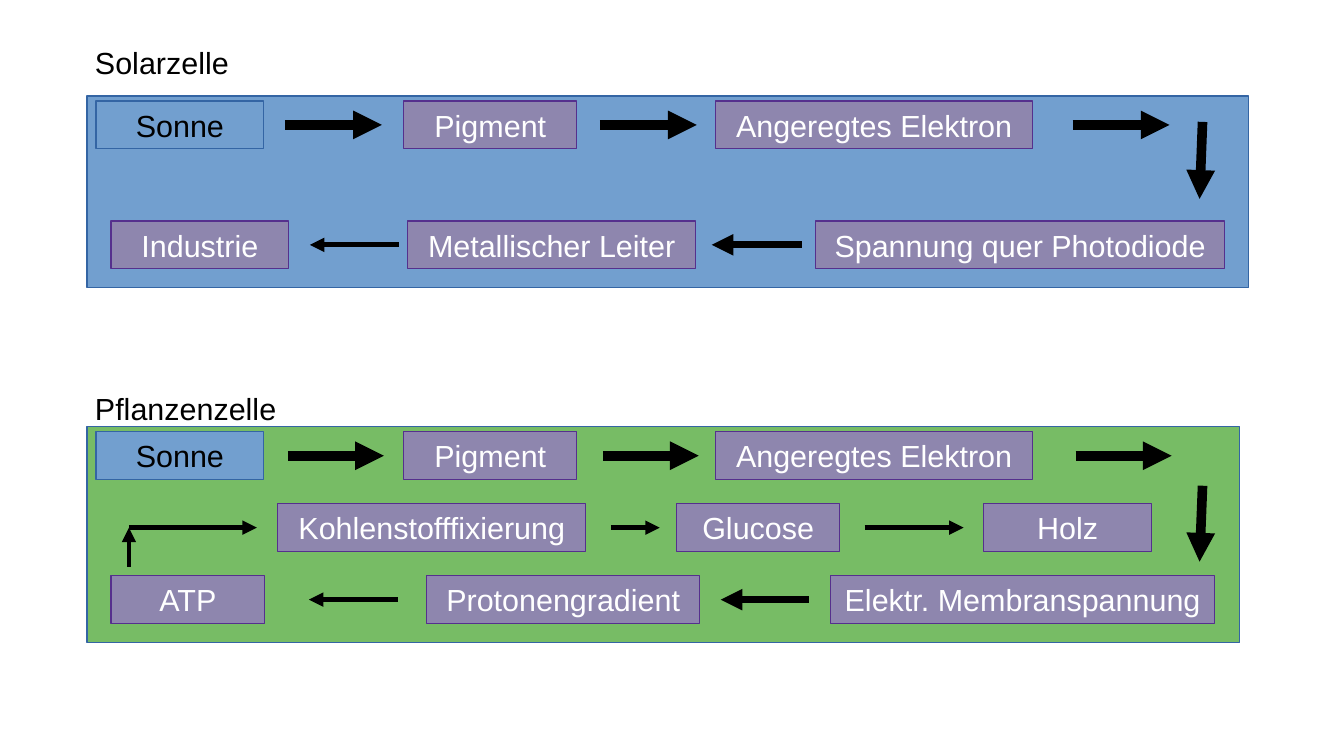
import pptx
import pptx.util
import pptx.dml.color
import pptx.enum.shapes
import pptx.enum.text
import pptx.oxml
import pptx.oxml.ns

PX = 914400 // 122
BOX_H = 48
BLUE, BLUE_LINE = "729FCF", "3465A4"
GREEN = "77BC65"
PURPLE, PURPLE_LINE = "8E86AE", "55308D"
BLACK, WHITE = "000000", "FFFFFF"
THICK, MEDIUM, THIN = 5.67, 4.25, 2.83

FIRST_ROW = [("Sonne", 96, 168), ("Pigment", 404, 173), ("Angeregtes Elektron", 716, 317)]

PANELS = [
    {
        "title": ("Solarzelle", 83, 38, 240, 46),
        "frame": (87, 96, 1162, 192, BLUE),
        "rows": [
            (101, FIRST_ROW, [(285, 382, THICK), (600, 697, THICK), (1073, 1170, THICK)]),
            (221, [("Industrie", 111, 178), ("Metallischer Leiter", 408, 288),
                   ("Spannung quer Photodiode", 816, 409)],
             [(802, 712, MEDIUM), (399, 310, THIN)]),
        ],
        "turns": [(1203, 122, 1200, 199, THICK)],
    },
    {
        "title": ("Pflanzenzelle", 83, 384, 240, 46),
        "frame": (87, 427, 1153, 216, GREEN),
        "rows": [
            (432, FIRST_ROW, [(288, 384, THICK), (603, 699, THICK), (1076, 1172, THICK)]),
            (504, [("Kohlenstofffixierung", 278, 308), ("Glucose", 677, 163), ("Holz", 984, 168)],
             [(129, 257, THIN), (611, 660, THIN), (865, 964, THIN)]),
            (576, [("ATP", 111, 154), ("Protonengradient", 427, 273),
                   ("Elektr. Membranspannung", 831, 384)],
             [(809, 721, MEDIUM), (398, 309, THIN)]),
        ],
        "turns": [(1203, 486, 1200, 562, THICK), (129, 567, 129, 528, THIN)],
    },
]


def px(*values):
    return [pptx.util.Emu(v * PX) for v in values]


def rgb(value):
    return pptx.dml.color.RGBColor.from_string(value)


def write(tf, text, color, align):
    tf.text = text
    p = tf.paragraphs[0]
    p.alignment = align
    font = p.runs[0].font
    font.name = "Arial"
    font.size = pptx.util.Pt(18)
    font.color.rgb = rgb(color)


def add_rect(slide, x, y, w, h, fill, line):
    sp = slide.shapes.add_shape(pptx.enum.shapes.MSO_SHAPE.RECTANGLE, *px(x, y, w, h))
    sp.shadow.inherit = False
    sp.fill.solid()
    sp.fill.fore_color.rgb = rgb(fill)
    sp.line.color.rgb = rgb(line)
    sp.line.width = pptx.util.Pt(0)
    return sp


def add_box(slide, text, x, y, w):
    sun = text == "Sonne"
    fill, line, color = (BLUE, BLUE_LINE, BLACK) if sun else (PURPLE, PURPLE_LINE, WHITE)
    tf = add_rect(slide, x, y, w, BOX_H, fill, line).text_frame
    tf.vertical_anchor = pptx.enum.text.MSO_ANCHOR.MIDDLE
    write(tf, text, color, pptx.enum.text.PP_ALIGN.CENTER)


def add_title(slide, text, x, y, w, h):
    tf = slide.shapes.add_textbox(*px(x, y, w, h)).text_frame
    tf.word_wrap = True
    write(tf, text, BLACK, pptx.enum.text.PP_ALIGN.LEFT)


def add_arrow(slide, x1, y1, x2, y2, weight):
    sp = slide.shapes.add_connector(pptx.enum.shapes.MSO_CONNECTOR.STRAIGHT, *px(x1, y1, x2, y2))
    sp.line.color.rgb = rgb(BLACK)
    sp.line.width = pptx.util.Pt(weight)
    ns = pptx.oxml.ns.nsdecls("a")
    props = sp.element.spPr
    ln = props.find(pptx.oxml.ns.qn("a:ln"))
    ln.append(pptx.oxml.parse_xml(f'<a:tailEnd {ns} type="triangle"/>'))
    props.append(pptx.oxml.parse_xml(f"<a:effectLst {ns}/>"))


def main():
    prs = pptx.Presentation()
    prs.slide_width = pptx.util.Inches(11.02)
    prs.slide_height = pptx.util.Inches(6.2)
    slide = prs.slides.add_slide(prs.slide_layouts[6])
    for panel in PANELS:
        x, y, w, h, fill = panel["frame"]
        add_rect(slide, x, y, w, h, fill, BLUE_LINE)
        add_title(slide, *panel["title"])
        for top, boxes, arrows in panel["rows"]:
            middle = top + BOX_H // 2
            for text, left, width in boxes:
                add_box(slide, text, left, top, width)
            for start, end, weight in arrows:
                add_arrow(slide, start, middle, end, middle, weight)
        for turn in panel["turns"]:
            add_arrow(slide, *turn)
    prs.save("out.pptx")


if __name__ == "__main__":
    main()
